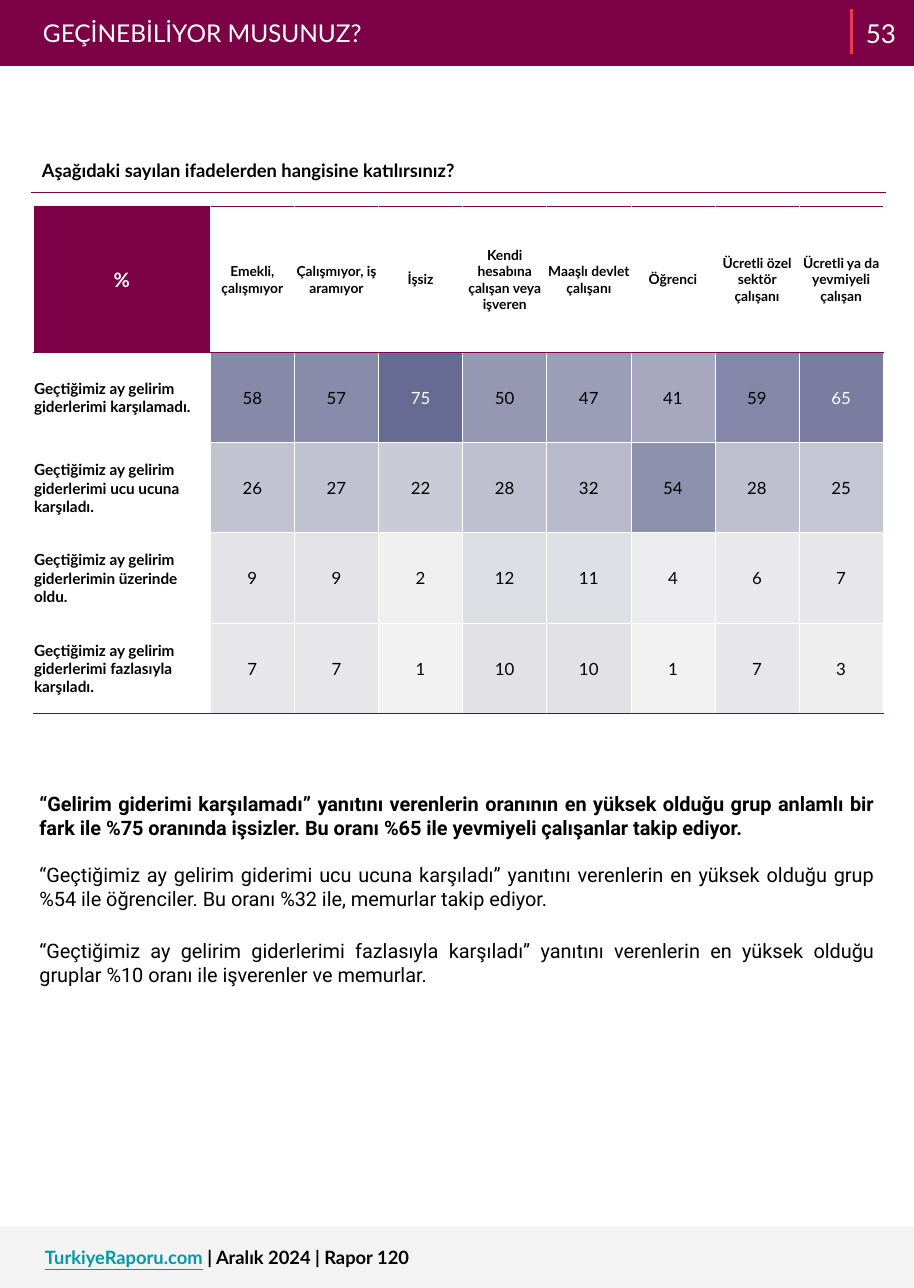
from lxml.etree import SubElement
from pptx import Presentation
from pptx.dml.color import RGBColor
from pptx.enum.shapes import MSO_CONNECTOR as Connector, MSO_SHAPE as Shape
from pptx.enum.text import MSO_ANCHOR as Anchor, PP_ALIGN as Align
from pptx.oxml.ns import qn
from pptx.util import Inches, Pt

PLUM, RED, TEAL = "7B0046", "EF3B45", "0097A7"
WHITE, BLACK, PALE = "FFFFFF", "000000", "F3F3F3"
LOW_COLOR, HIGH_COLOR = (242, 242, 242), (103, 106, 147)
LOW, HIGH, WHITE_TEXT_FROM = 1, 75, 60

GROUPS = [
    "Emekli, çalışmıyor", "Çalışmıyor, iş aramıyor", "İşsiz",
    "Kendi hesabına çalışan veya işveren", "Maaşlı devlet çalışanı",
    "Öğrenci", "Ücretli özel sektör çalışanı",
    "Ücretli ya da yevmiyeli çalışan",
]
ANSWERS = [
    ("Geçtiğimiz ay gelirim giderlerimi karşılamadı.",
     [58, 57, 75, 50, 47, 41, 59, 65]),
    ("Geçtiğimiz ay gelirim giderlerimi ucu ucuna karşıladı.",
     [26, 27, 22, 28, 32, 54, 28, 25]),
    ("Geçtiğimiz ay gelirim giderlerimin üzerinde oldu.",
     [9, 9, 2, 12, 11, 4, 6, 7]),
    ("Geçtiğimiz ay gelirim giderlerimi fazlasıyla karşıladı.",
     [7, 7, 1, 10, 10, 1, 7, 3]),
]
# Text, bold, space before in points
FINDINGS = [
    ("“Gelirim giderimi karşılamadı” yanıtını verenlerin oranının en yüksek "
     "olduğu grup anlamlı bir fark ile %75 oranında işsizler. Bu oranı %65 ile "
     "yevmiyeli çalışanlar takip ediyor.", True, 0),
    ("“Geçtiğimiz ay gelirim giderimi ucu ucuna karşıladı” yanıtını verenlerin "
     "en yüksek olduğu grup %54 ile öğrenciler. Bu oranı %32 ile, memurlar "
     "takip ediyor.", False, 15.25),
    ("“Geçtiğimiz ay gelirim giderlerimi fazlasıyla karşıladı” yanıtını "
     "verenlerin en yüksek olduğu gruplar %10 oranı ile işverenler ve "
     "memurlar.", False, 18.5),
]


def rgb(color):
    return RGBColor.from_string(color)


def style_font(font, size, color, bold=False, name="Lato"):
    font.name, font.size, font.bold = name, Pt(size), bold
    font.color.rgb = rgb(color)


def place(shape, left, top, width, height):
    shape.left, shape.top = Inches(left), Inches(top)
    shape.width, shape.height = Inches(width), Inches(height)


def set_frame(frame, anchor=Anchor.TOP):
    frame.word_wrap = True
    frame.vertical_anchor = anchor
    frame.margin_left = frame.margin_right = Inches(0.1)
    frame.margin_top = frame.margin_bottom = Inches(0.1)


def add_band(page, top):
    band = page.shapes.add_shape(
        Shape.RECTANGLE, 0, Inches(top), Inches(8.3), Inches(0.6))
    band.shadow.inherit = False
    band.fill.solid()
    band.line.fill.background()
    return band


def add_text_box(page, left, top, width, height, anchor=Anchor.TOP):
    box = page.shapes.add_textbox(
        Inches(left), Inches(top), Inches(width), Inches(height))
    set_frame(box.text_frame, anchor)
    return box.text_frame


def add_plain_table(page, rows, columns, left, top, width, height):
    table = page.shapes.add_table(
        rows, columns, Inches(left), Inches(top),
        Inches(width), Inches(height)).table
    table.first_row = table.horz_banding = False
    return table


def set_borders(cell, top=WHITE, bottom=WHITE, width=0.5):
    properties = cell._tc.get_or_add_tcPr()
    for side, color in (("L", WHITE), ("R", WHITE), ("T", top), ("B", bottom)):
        line = SubElement(properties, qn(f"a:ln{side}"), w=str(Pt(width)))
        fill = SubElement(line, qn("a:solidFill"))
        SubElement(fill, qn("a:srgbClr"), val=color)


def set_fill(cell, color):
    if color:
        cell.fill.solid()
        cell.fill.fore_color.rgb = rgb(color)
    else:
        cell.fill.background()


def fill_cell(cell, text, size, color=BLACK, bold=True, fill=None,
              align=Align.CENTER):
    cell.margin_left = cell.margin_right = cell.margin_top = Inches(0.01)
    cell.margin_bottom = 0
    cell.vertical_anchor = Anchor.MIDDLE
    set_fill(cell, fill)
    para = cell.text_frame.paragraphs[0]
    para.text = text
    para.alignment = align
    style_font(para.runs[0].font, size, color, bold)


def heat_color(value):
    share = (value - LOW) / (HIGH - LOW)
    return "".join(f"{round(low + (high - low) * share):02X}"
                   for low, high in zip(LOW_COLOR, HIGH_COLOR))


def add_header(page):
    title = page.shapes.title
    band = add_band(page, 0)
    band.fill.fore_color.rgb = rgb(PLUM)
    title.element.addprevious(band.element)  # the band lies behind the title

    place(title, 0.29, 0.06, 7.73, 0.47)
    set_frame(title.text_frame)
    title.text_frame.text = "GEÇİNEBİLİYOR MUSUNUZ?"
    para = title.text_frame.paragraphs[0]
    para.alignment = Align.LEFT
    style_font(para.runs[0].font, 16, WHITE)

    rule = page.shapes.add_connector(
        Connector.STRAIGHT, Inches(7.73), Inches(0.08),
        Inches(7.73), Inches(0.49))
    rule.line.color.rgb = rgb(RED)
    rule.line.width = Pt(2.25)
    SubElement(rule.element.spPr, qn("a:effectLst"))

    number = add_text_box(page, 7.73, -0.15, 0.54, 0.9, Anchor.MIDDLE)
    number.text = "53"
    number.paragraphs[0].alignment = Align.CENTER
    style_font(number.paragraphs[0].runs[0].font, 17, WHITE)


def add_question(page):
    cell = add_plain_table(page, 1, 1, 0.28, 1.32, 7.77, 0.43).cell(0, 0)
    set_borders(cell, bottom=PLUM, width=0.75)
    set_fill(cell, None)
    cell.margin_top = cell.margin_bottom = Inches(0.1)
    para = cell.text_frame.paragraphs[0]
    para.text = "Aşağıdaki sayılan ifadelerden hangisine katılırsınız?"
    para.line_spacing = 1.15
    style_font(para.runs[0].font, 12, BLACK, True)


def add_answers(page):
    last = len(ANSWERS)
    table = add_plain_table(page, last + 1, len(GROUPS) + 1,
                            0.3, 1.87, 7.72, 4.61)
    for index, column in enumerate(table.columns):
        column.width = Inches(0.764 if index else 1.61)
    for index, row in enumerate(table.rows):
        row.height = Inches(0.82 if index else 1.33)
        for cell in row.cells:
            set_borders(cell, top=PLUM if index < 2 else WHITE,
                        bottom=PLUM if index in (0, last) else WHITE)

    # Header row
    fill_cell(table.cell(0, 0), "%", 13, WHITE, fill=PLUM)
    for column, group in enumerate(GROUPS, 1):
        fill_cell(table.cell(0, column), group, 9)

    # Answers, shaded by value
    for row, (answer, values) in enumerate(ANSWERS, 1):
        fill_cell(table.cell(row, 0), answer, 10, align=Align.LEFT)
        for column, value in enumerate(values, 1):
            color = WHITE if value >= WHITE_TEXT_FROM else BLACK
            fill_cell(table.cell(row, column), str(value), 11, color,
                      bold=False, fill=heat_color(value))


def add_findings(page):
    frame = add_text_box(page, 0.26, 7.09, 7.77, 2.76)
    for index, (text, bold, space) in enumerate(FINDINGS):
        para = frame.add_paragraph() if index else frame.paragraphs[0]
        para.text = text
        para.alignment = Align.JUSTIFY
        if index:
            para.space_before = Pt(space)
        style_font(para.runs[0].font, 13, BLACK, bold, "Roboto")


def add_footer(page):
    add_band(page, 11.14).fill.fore_color.rgb = rgb(PALE)
    para = add_text_box(page, 0.31, 11.22, 6.96, 0.4).paragraphs[0]
    for text, color in (("TurkiyeRaporu.com", TEAL),
                        (" | Aralık 2024 | Rapor 120", BLACK)):
        span = para.add_run()
        span.text = text
        style_font(span.font, 12, color, True)
        span.font.underline = color == TEAL


def main():
    deck = Presentation()
    deck.slide_width, deck.slide_height = Inches(8.3), Inches(11.7)
    page = deck.slides.add_slide(deck.slide_layouts[5])
    add_header(page)
    add_question(page)
    add_answers(page)
    add_findings(page)
    add_footer(page)
    deck.save("out.pptx")


if __name__ == "__main__":
    main()
